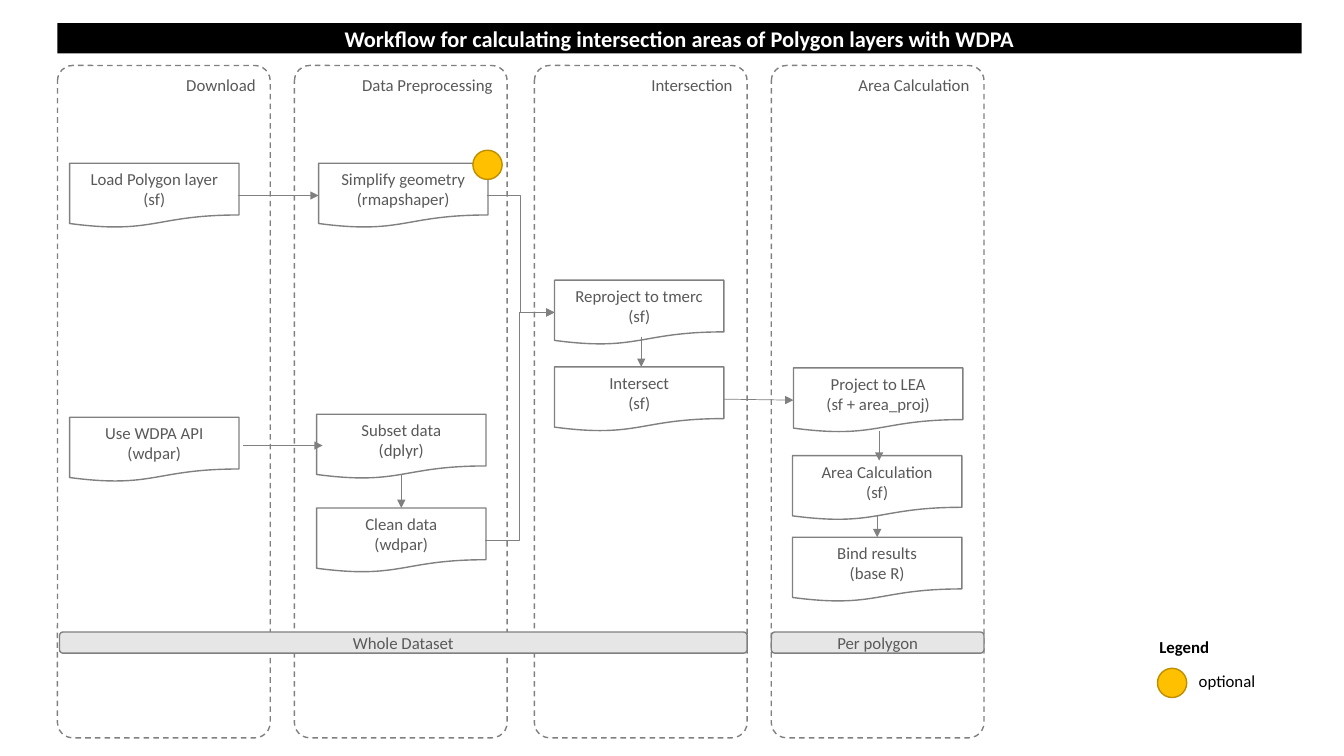
from pptx import Presentation
from pptx.dml.color import RGBColor
from pptx.enum.dml import MSO_LINE
from pptx.enum.shapes import MSO_CONNECTOR as LINK, MSO_SHAPE as SHAPE
from pptx.enum.text import MSO_ANCHOR as ANCHOR, MSO_AUTO_SIZE as FIT, PP_ALIGN as ALIGN
from pptx.oxml.ns import qn
from pptx.util import Inches, Pt
from lxml.etree import SubElement

BLACK, WHITE, GREY, TEXT = "000000", "FFFFFF", "808080", "595959"
PALE, AMBER, AMBER_EDGE = "E7E6E6", "FFC000", "BD8E00"
LANE_W, LANE_TOP, LANE_H = 2.11, 0.65, 6.67
STEP_W, STEP_H = 1.68, 0.64
BAND_TOP, BAND_H = 6.27, 0.21
DOT = 0.29


def rgb(value):
    """Turn a hex string into a colour."""
    return RGBColor.from_string(value)


def place(*lengths):
    """Turn numbers into lengths in inches."""
    return [Inches(length) for length in lengths]


class Diagram:
    """Holds the style and the current slide of the workflow."""

    font, size = "Calibri", 12

    def __init__(self, slide):
        self.slide = slide

    def set_text(self, shape, text, align=ALIGN.CENTER, anchor=ANCHOR.MIDDLE,
                 color=TEXT, size=size, bold=False):
        """Put formatted text into a shape, one paragraph a line."""
        frame = shape.text_frame
        frame.text = text
        frame.word_wrap = True
        frame.vertical_anchor = anchor
        for paragraph in frame.paragraphs:
            paragraph.alignment = align
            font = paragraph.font
            font.name, font.size, font.bold = self.font, Pt(size), bold
            font.color.rgb = rgb(color)

    def title(self, text, left, top, width, height):
        """Fill the title placeholder as a black banner."""
        banner = self.slide.shapes.title
        banner.left, banner.top, banner.width, banner.height = place(left, top, width, height)
        banner.fill.solid()
        banner.fill.fore_color.rgb = rgb(BLACK)
        self.set_text(banner, text, color=WHITE, size=16, bold=True)
        banner.text_frame.auto_size = FIT.NONE

    def shape(self, kind, left, top, width, height, fill=WHITE, edge=GREY):
        """Add a flat shape with a thin outline."""
        shape = self.slide.shapes.add_shape(kind, *place(left, top, width, height))
        shape.shadow.inherit = False
        shape.fill.solid()
        shape.fill.fore_color.rgb = rgb(fill)
        shape.line.color.rgb = rgb(edge)
        shape.line.width = Pt(1)
        return shape

    def lane(self, name, left):
        """Add a dashed column for one phase."""
        lane = self.shape(SHAPE.ROUNDED_RECTANGLE, left, LANE_TOP, LANE_W, LANE_H)
        lane.adjustments[0] = 0.072
        lane.line.dash_style = MSO_LINE.DASH
        self.set_text(lane, name, ALIGN.RIGHT, ANCHOR.TOP)

    def step(self, text, left, top):
        """Add a document box for one step."""
        self.set_text(self.shape(SHAPE.FLOWCHART_DOCUMENT, left, top, STEP_W, STEP_H), text)

    def band(self, text, left, width):
        """Add a bar that names the scope of the lanes it crosses."""
        band = self.shape(SHAPE.ROUNDED_RECTANGLE, left, BAND_TOP, width, BAND_H, PALE)
        self.set_text(band, text)

    def optional_mark(self, left, top):
        """Add the amber dot of an optional step."""
        self.shape(SHAPE.OVAL, left, top, DOT, DOT, AMBER, AMBER_EDGE)

    def label(self, text, left, top, width, bold=False):
        """Add a line of legend text."""
        box = self.slide.shapes.add_textbox(*place(left, top, width, 0.3))
        self.set_text(box, text, ALIGN.LEFT, ANCHOR.TOP, BLACK, bold=bold)

    def arrow(self, start, end, kind=LINK.STRAIGHT):
        """Add a thin arrow between two points."""
        arrow = self.slide.shapes.add_connector(kind, *place(*start, *end))
        arrow.line.color.rgb = rgb(GREY)
        arrow.line.width = Pt(0.5)
        properties = arrow._element.spPr
        SubElement(properties.find(qn("a:ln")), qn("a:tailEnd"), type="triangle")
        SubElement(properties, qn("a:effectLst"))


deck = Presentation()
deck.slide_width, deck.slide_height = place(13.33, 7.5)
diagram = Diagram(deck.slides.add_slide(deck.slide_layouts[5]))

diagram.title("Workflow for calculating intersection areas of Polygon layers with WDPA",
              0.57, 0.23, 12.34, 0.3)

for phase, left in [("Download", 0.57), ("Data Preprocessing", 2.92),
                    ("Intersection", 5.3), ("Area Calculation", 7.65)]:
    diagram.lane(phase, left)

for task, left, top in [
    ("Load Polygon layer\n(sf)", 0.69, 1.62),
    ("Use WDPA API (wdpar)", 0.69, 4.14),
    ("Simplify geometry\n(rmapshaper)", 3.16, 1.62),
    ("Subset data\n(dplyr)", 3.14, 4.11),
    ("Clean data\n(wdpar)", 3.14, 5.04),
    ("Reproject to tmerc (sf)", 5.5, 2.78),
    ("Intersect\n(sf)", 5.5, 3.64),
    ("Project to LEA\n(sf + area_proj)", 7.87, 3.65),
    ("Area Calculation\n(sf)", 7.86, 4.52),
    ("Bind results\n(base R)", 7.86, 5.33),
]:
    diagram.step(task, left, top)

diagram.band("Whole Dataset", 0.59, 6.82)
diagram.band("Per polygon", 7.65, LANE_W)

for start, end in [
    ((2.36, 1.94), (3.16, 1.94)),
    ((2.41, 4.42), (3.2, 4.42)),
    ((3.98, 4.71), (3.98, 5.04)),
    ((6.36, 3.34), (6.36, 3.64)),
    ((7.18, 3.96), (7.87, 3.97)),
    ((8.72, 4.28), (8.72, 4.57)),
    ((8.7, 5.12), (8.7, 5.33)),
]:
    diagram.arrow(start, end)

reproject_entry = (5.5, 3.1)
for branch_exit in [(4.81, 5.36), (4.83, 1.94)]:
    diagram.arrow(branch_exit, reproject_entry, LINK.ELBOW)

diagram.optional_mark(4.69, 1.49)
diagram.label("Legend", 11.4, 6.27, 0.72, bold=True)
diagram.optional_mark(11.48, 6.63)
diagram.label("optional", 11.79, 6.61, 1.52)

deck.save("out.pptx")
